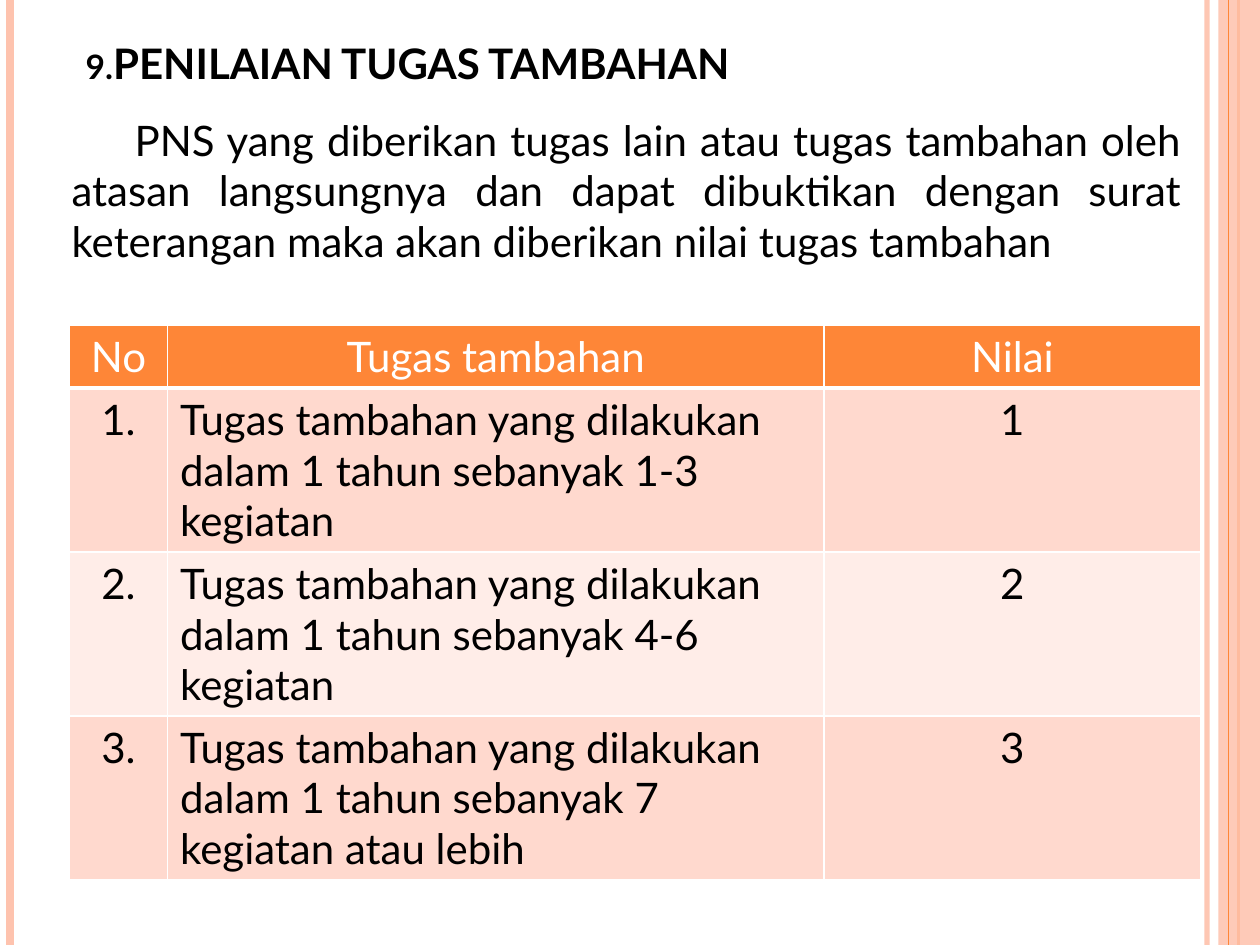
from lxml.etree import SubElement
from pptx import Presentation
from pptx.dml.color import RGBColor
from pptx.enum.shapes import MSO_CONNECTOR, MSO_SHAPE
from pptx.enum.text import MSO_ANCHOR, PP_ALIGN as ALIGN
from pptx.oxml.ns import qn
from pptx.util import Inches, Pt

TITLE = "9.PENILAIAN TUGAS TAMBAHAN"
INTRO = ("\tPNS yang diberikan tugas lain atau tugas tambahan oleh atasan "
         "langsungnya dan dapat dibuktikan dengan surat keterangan maka akan "
         "diberikan nilai tugas tambahan")
HEADER = ("No", "Tugas tambahan", "Nilai")
TASK = "Tugas tambahan yang dilakukan dalam 1 tahun sebanyak "
AMOUNTS = ("1-3 kegiatan", "4-6 kegiatan", "7 kegiatan atau lebih")
SCORES = [(f"{n}.", TASK + amount, str(n)) for n, amount in enumerate(AMOUNTS, 1)]

COLORS = {"orange": "FE8637", "peach": "FEC3AE", "odd": "FFD9CE",
          "even": "FFEDE8", "white": "FFFFFF", "black": "000000"}
FONT, SIZE = "Lato", 24
WIDTH, HEIGHT = 10, 7.5
BAND_LEFT = 9.67
# x, colour, width in points, opacity in percent
STRIPES_BEHIND = [(9.58, "peach", 3, 93), (0.08, "peach", 4.5, 100),
                  (9.83, "orange", 1.5, 100)]
STRIPES_FRONT = [(9.75, "orange", 0.75, 100)]
TABLE_LEFT, TABLE_TOP = 0.55, 2.58
COLUMNS = (0.78, 5.21, 2.99)
HEADER_HEIGHT, SCORE_HEIGHT = 0.5, 1.3
COLUMN_ALIGN = (ALIGN.CENTER, ALIGN.LEFT, ALIGN.CENTER)


def rgb(name):
    return RGBColor.from_string(COLORS[name])


def set_opacity(fill_parent, percent):
    if percent < 100:
        color = next(fill_parent.iter(qn("a:srgbClr")))
        SubElement(color, qn("a:alpha"), val=str(percent * 1000))


def add_stripe(slide, x, color, width, opacity):
    stripe = slide.shapes.add_connector(
        MSO_CONNECTOR.STRAIGHT, Inches(x), 0, Inches(x), Inches(HEIGHT))
    stripe.line.color.rgb = rgb(color)
    stripe.line.width = Pt(width)
    properties = stripe._element.spPr
    set_opacity(properties, opacity)
    SubElement(properties, qn("a:effectLst"))


def add_band(slide):
    band = slide.shapes.add_shape(
        MSO_SHAPE.RECTANGLE, Inches(BAND_LEFT), 0,
        Inches(WIDTH - BAND_LEFT), Inches(HEIGHT))
    band.shadow.inherit = False
    band.fill.solid()
    band.fill.fore_color.rgb = rgb("peach")
    set_opacity(band._element.spPr, 87)
    band.line.fill.background()


def write(frame, text, color="black", align=ALIGN.LEFT, bold=False):
    paragraph = frame.paragraphs[0]
    paragraph.alignment = align
    run = paragraph.add_run()
    run.text = text
    run.font.name, run.font.size, run.font.bold = FONT, Pt(SIZE), bold
    run.font.color.rgb = rgb(color)
    return paragraph


def add_title(slide):
    title = slide.shapes.title
    title.left, title.top = Inches(0.58), Inches(0.25)
    title.width, title.height = Inches(9.17), Inches(0.69)
    title.text_frame.vertical_anchor = MSO_ANCHOR.TOP
    heading = write(title.text_frame, TITLE, bold=True)
    heading.runs[0].font._element.set("cap", "small")


def add_intro(slide):
    intro = slide.shapes.add_textbox(
        Inches(0.47), Inches(0.86), Inches(9), Inches(1.83)).text_frame
    intro.word_wrap = True
    write(intro, INTRO, align=ALIGN.JUSTIFY).space_before = Pt(6)


def set_borders(cell, bottom):
    """Draw white borders; they must precede the fill in the cell's XML."""
    properties = cell._tc.get_or_add_tcPr()
    for side, width in (("L", 1), ("R", 1), ("T", 1), ("B", bottom)):
        border = SubElement(properties, qn(f"a:ln{side}"), w=str(Pt(width)))
        fill = SubElement(border, qn("a:solidFill"))
        SubElement(fill, qn("a:srgbClr"), val=COLORS["white"])


def add_scores(slide):
    rows = [HEADER] + SCORES
    heights = [HEADER_HEIGHT] + [SCORE_HEIGHT] * len(SCORES)
    table = slide.shapes.add_table(
        len(rows), len(COLUMNS), Inches(TABLE_LEFT), Inches(TABLE_TOP),
        Inches(sum(COLUMNS)), Inches(sum(heights))).table
    for column, width in zip(table.columns, COLUMNS):
        column.width = Inches(width)
    for r, (values, height) in enumerate(zip(rows, heights)):
        table.rows[r].height = Inches(height)
        is_header = r == 0
        fill = "orange" if is_header else "odd" if r % 2 else "even"
        for c, value in enumerate(values):
            cell = table.cell(r, c)
            set_borders(cell, bottom=3 if is_header else 1)
            cell.fill.solid()
            cell.fill.fore_color.rgb = rgb(fill)
            write(cell.text_frame, value, "white" if is_header else "black",
                  ALIGN.CENTER if is_header else COLUMN_ALIGN[c])


def main():
    deck = Presentation()
    deck.slide_width, deck.slide_height = Inches(WIDTH), Inches(HEIGHT)
    slide = deck.slides.add_slide(deck.slide_layouts.get_by_name("Title Only"))
    for stripe in STRIPES_BEHIND:
        add_stripe(slide, *stripe)
    add_band(slide)
    for stripe in STRIPES_FRONT:
        add_stripe(slide, *stripe)
    add_title(slide)
    add_intro(slide)
    add_scores(slide)
    deck.save("out.pptx")


if __name__ == "__main__":
    main()
